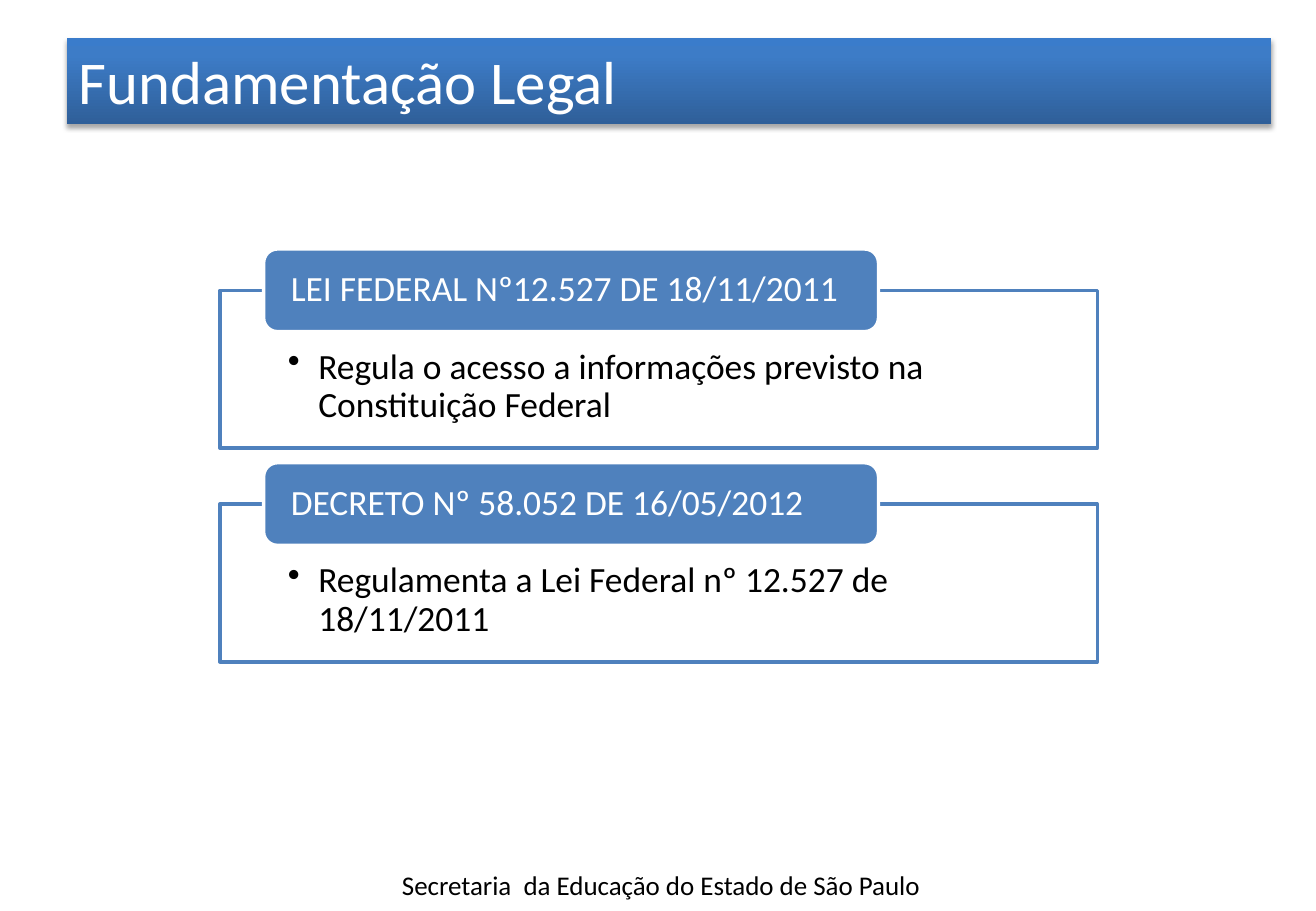
"""Build the "Fundamentação Legal" slide."""
from dataclasses import dataclass

from lxml.etree import SubElement
from pptx import Presentation
from pptx.dml.color import RGBColor
from pptx.enum.shapes import MSO_SHAPE
from pptx.enum.text import MSO_ANCHOR, PP_ALIGN
from pptx.oxml.ns import qn
from pptx.shapes.autoshape import Shape
from pptx.slide import Slide
from pptx.util import Inches, Pt

WHITE = RGBColor(0xFF, 0xFF, 0xFF)
BLACK = RGBColor(0x00, 0x00, 0x00)
BLUE = RGBColor(0x4F, 0x81, 0xBD)
TITLE_STOPS = (
    (0, RGBColor(0x2F, 0x5F, 0x99)),
    (80, RGBColor(0x3D, 0x7C, 0xC7)),
    (100, RGBColor(0x3A, 0x7C, 0xCB)),
)
FONT = "Calibri"
FIRST_TOP = 2.05
STEP = 1.76


@dataclass(frozen=True)
class Law:
    heading: str
    summary: str


LAWS = (
    Law("LEI FEDERAL Nº12.527 DE 18/11/2011",
        "Regula o acesso a informações previsto na Constituição Federal"),
    Law("DECRETO Nº 58.052 DE 16/05/2012",
        "Regulamenta a Lei Federal nº 12.527 de 18/11/2011"),
)


def write_text(sp: Shape, text: str, *, size: float, color: RGBColor,
               insets: tuple[float, float, float, float] = (0.1, 0.05, 0.1, 0.05),
               anchor: MSO_ANCHOR = MSO_ANCHOR.TOP, spacing: float = 1.0,
               bullet: bool = False) -> None:
    tf = sp.text_frame
    tf.word_wrap = True
    tf.vertical_anchor = anchor
    tf.margin_left, tf.margin_top, tf.margin_right, tf.margin_bottom = map(Inches, insets)
    p = tf.paragraphs[0]
    p.alignment = PP_ALIGN.LEFT
    p.line_spacing = spacing
    if bullet:
        pPr = p._p.get_or_add_pPr()
        pPr.set("marL", str(Inches(0.25)))
        pPr.set("indent", str(-Inches(0.25)))
        SubElement(pPr, qn("a:buChar"), char="•")
    r = p.add_run()
    r.text = text
    r.font.name = FONT
    r.font.size = Pt(size)
    r.font.color.rgb = color


def add_box(s: Slide, kind: MSO_SHAPE, left: float, top: float, width: float,
            height: float, fill: RGBColor, line: RGBColor) -> Shape:
    sp = s.shapes.add_shape(kind, Inches(left), Inches(top), Inches(width), Inches(height))
    sp.shadow.inherit = False
    sp.fill.solid()
    sp.fill.fore_color.rgb = fill
    sp.line.color.rgb = line
    sp.line.width = Pt(2)
    return sp


def add_title(s: Slide, text: str) -> None:
    sp = add_box(s, MSO_SHAPE.RECTANGLE, 0.55, 0.31, 9.91, 0.71, BLUE, BLUE)
    sp.line.fill.background()
    sp.fill.gradient()
    sp.fill.gradient_angle = 90
    stops = sp._element.spPr.find(".//" + qn("a:gsLst"))
    for stop in list(stops):
        stops.remove(stop)
    for position, color in TITLE_STOPS:
        stop = SubElement(stops, qn("a:gs"), pos=str(position * 1000))
        SubElement(stop, qn("a:srgbClr"), val=str(color))
    effects = sp._element.spPr.find(qn("a:effectLst"))
    shadow = SubElement(effects, qn("a:outerShdw"), blurRad=str(Pt(3.1)),
                        dist=str(Pt(1.8)), dir="5400000", rotWithShape="0")
    shade = SubElement(shadow, qn("a:srgbClr"), val=str(BLACK))
    SubElement(shade, qn("a:alpha"), val="35000")
    write_text(sp, text, size=36, color=WHITE)


def add_law(s: Slide, law: Law, top: float) -> None:
    body = add_box(s, MSO_SHAPE.RECTANGLE, 1.81, top + 0.34, 7.22, 1.3, WHITE, BLUE)
    white = body._element.spPr.find(qn("a:solidFill")).find(qn("a:srgbClr"))
    SubElement(white, qn("a:alpha"), val="90000")
    write_text(body, law.summary, size=21, color=BLACK, spacing=0.9, bullet=True,
               insets=(0.56, 0.48, 0.56, 0.16))
    tab = add_box(s, MSO_SHAPE.ROUNDED_RECTANGLE, 2.17, top, 5.06, 0.68, BLUE, WHITE)
    write_text(tab, law.heading, size=21, color=WHITE, spacing=0.9,
               insets=(0.19, 0, 0.19, 0), anchor=MSO_ANCHOR.MIDDLE)


def main() -> None:
    prs = Presentation()
    prs.slide_width, prs.slide_height = Inches(10.83), Inches(7.5)
    s = prs.slides.add_slide(prs.slide_layouts[6])
    footer = s.shapes.add_textbox(Inches(3.21), Inches(7.1), Inches(5.67), Inches(0.37))
    write_text(footer, "Secretaria  da Educação do Estado de São Paulo", size=16, color=BLACK)
    add_title(s, "Fundamentação Legal")
    for i, law in enumerate(LAWS):
        add_law(s, law, FIRST_TOP + i * STEP)
    prs.save("out.pptx")


if __name__ == "__main__":
    main()
